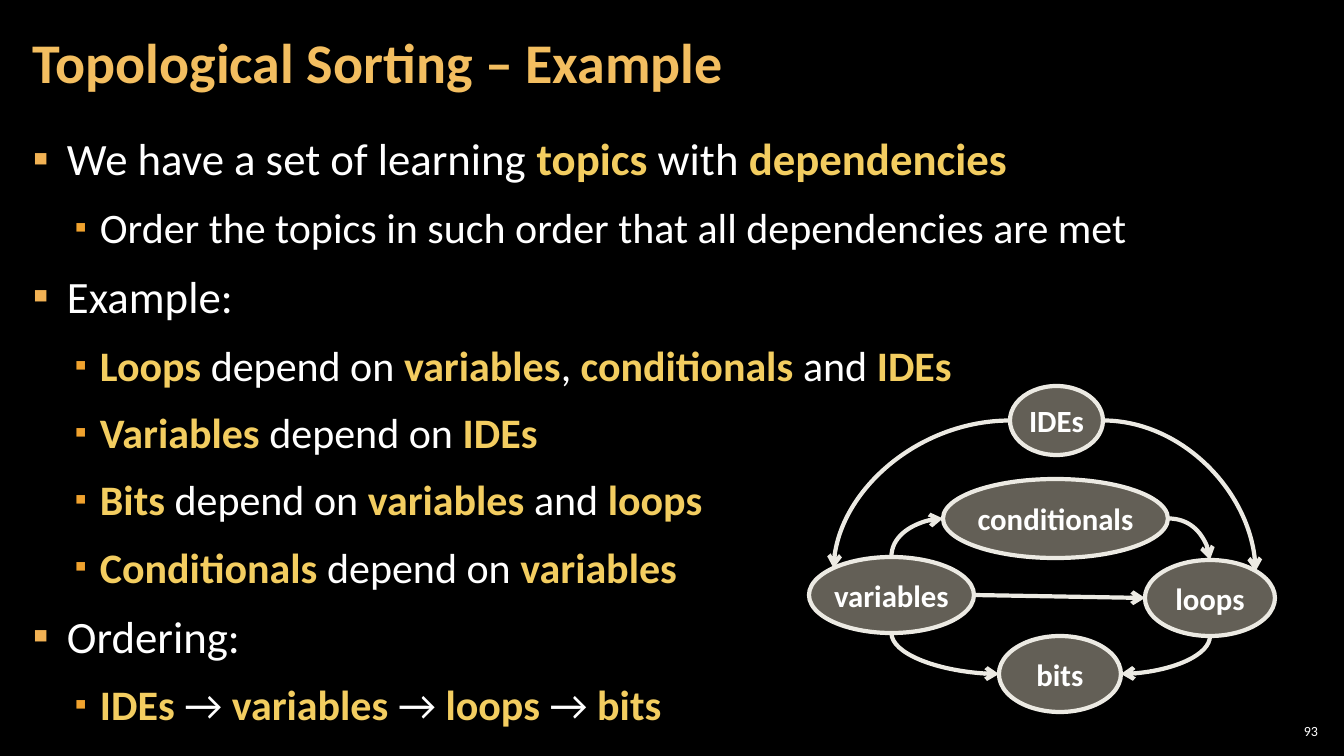
import pptx
import pptx.util
import pptx.dml.color
import pptx.enum.shapes
import pptx.enum.text
import pptx.oxml

PX = 914400 / 100.8
NS = 'xmlns:a="http://schemas.openxmlformats.org/drawingml/2006/main"'
COLORS = {
    "background": "000000",
    "text": "FFFFFF",
    "title": "F3BE60",
    "accent": "F3CD60",
    "topic_bullet": "F2B254",
    "detail_bullet": "F0A22E",
    "node": "C7BFAC",
    "line": "ECEAE3",
}
RGB = {name: pptx.dml.color.RGBColor.from_string(value) for name, value in COLORS.items()}
ALIGN = pptx.enum.text.PP_ALIGN
MIDDLE = pptx.enum.text.MSO_ANCHOR.MIDDLE


def px(*lengths):
    return [pptx.util.Emu(round(length * PX)) for length in lengths]


def set_font(font, size, color, bold=False):
    font.name = "Calibri"
    font.size = pptx.util.Pt(size)
    font.color.rgb = RGB[color]
    font.bold = bold


presentation = pptx.Presentation()
presentation.slide_width, presentation.slide_height = px(1344, 756)
slide = presentation.slides.add_slide(presentation.slide_layouts[6])
slide.background.fill.solid()
slide.background.fill.fore_color.rgb = RGB["background"]

labels = [
    ("Topological Sorting – Example", (21, 4, 1055, 122), 12, 40, "title", True, ALIGN.LEFT),
    ("93", (1275, 720, 47, 21), 4, 10, "text", False, ALIGN.RIGHT),
]
for text, bounds, inset, size, color, bold, alignment in labels:
    frame = slide.shapes.add_textbox(*px(*bounds)).text_frame
    frame.word_wrap = True
    frame.vertical_anchor = MIDDLE
    frame.margin_left, frame.margin_right, frame.margin_top, frame.margin_bottom = px(
        inset, inset, 4, 4)
    paragraph = frame.paragraphs[0]
    paragraph.text = text
    paragraph.alignment = alignment
    paragraph.line_spacing = 0.9 if color == "title" else 1.0
    set_font(paragraph.font, size, color, bold)

outline = [
    (0, ["We have a set of learning ", "*topics", " with ", "*dependencies"]),
    (1, ["Order the topics in such order that all dependencies are met"]),
    (0, ["Example:"]),
    (1, ["*Loops ", "depend on ", "*variables", ", ", "*conditionals ", "and ", "*IDEs"]),
    (1, ["*Variables", " depend on ", "*IDEs"]),
    (1, ["*Bits", " depend on ", "*variables", " and ", "*loops"]),
    (1, ["*Conditionals", " depend on ", "*variables"]),
    (0, ["Ordering:"]),
    (1, ["*IDEs ", "→ ", "*variables", " → ", "*loops", " → ", "*bits"]),
]
levels = [
    (34, 34, 100, "topic_bullet", 32),
    (67, 25, 80, "detail_bullet", 30),
]
frame = slide.shapes.add_textbox(*px(21, 127, 1301, 614)).text_frame
frame.word_wrap = True
frame.margin_left, frame.margin_right, frame.margin_top, frame.margin_bottom = px(12, 12, 4, 4)
for index, (level, pieces) in enumerate(outline):
    paragraph = frame.add_paragraph() if index else frame.paragraphs[0]
    margin, hanging, bullet_size, bullet_color, size = levels[level]
    paragraph.level = level
    paragraph.space_before = pptx.util.Pt(6 if index else 0)
    paragraph.space_after = pptx.util.Pt(6)
    properties = paragraph._p.get_or_add_pPr()
    properties.set("marL", str(px(margin)[0]))
    properties.set("indent", str(px(-hanging)[0]))
    for element in (
        f'<a:buClr {NS}><a:srgbClr val="{COLORS[bullet_color]}"/></a:buClr>',
        f'<a:buSzPct {NS} val="{bullet_size * 1000}"/>',
        f'<a:buFont {NS} typeface="Calibri"/>',
        f'<a:buChar {NS} char="▪"/>',
    ):
        properties.append(pptx.oxml.parse_xml(element))
    set_font(paragraph.font, size, "text")
    for piece in pieces:
        run = paragraph.add_run()
        run.text = piece.lstrip("*")
        strong = piece.startswith("*")
        set_font(run.font, size, "accent" if strong else "text", strong)

nodes = {
    "variables": (809, 557, 165, 76),
    "IDEs": (1010, 386, 93, 69),
    "conditionals": (943, 479, 225, 79),
    "loops": (1145, 560, 130, 76),
    "bits": (999, 636, 122, 76),
}
for name, bounds in nodes.items():
    ellipse = slide.shapes.add_shape(pptx.enum.shapes.MSO_SHAPE.OVAL, *px(*bounds))
    ellipse.shadow.inherit = False
    ellipse.fill.solid()
    ellipse.fill.fore_color.rgb = RGB["node"]
    fill_color = ellipse.fill._xPr.find(".//{*}srgbClr")
    fill_color.append(pptx.oxml.parse_xml(f'<a:alpha {NS} val="50000"/>'))
    ellipse.line.color.rgb = RGB["line"]
    ellipse.line.width = pptx.util.Pt(3)
    frame = ellipse.text_frame
    frame.word_wrap = False
    frame.vertical_anchor = MIDDLE
    frame.margin_left = frame.margin_right = frame.margin_top = frame.margin_bottom = 0
    paragraph = frame.paragraphs[0]
    paragraph.text = name
    paragraph.alignment = ALIGN.CENTER
    set_font(paragraph.font, 22, "text", True)

TOP, LEFT, BOTTOM, RIGHT = (0.5, 0), (0, 0.5), (0.5, 1), (1, 0.5)
CURVE = pptx.enum.shapes.MSO_CONNECTOR.CURVE
STRAIGHT = pptx.enum.shapes.MSO_CONNECTOR.STRAIGHT
arrows = [
    (STRAIGHT, "variables", RIGHT, "loops", LEFT, "tailEnd"),
    (CURVE, "IDEs", LEFT, "variables", (0.15, 0.15), "tailEnd"),
    (CURVE, "IDEs", RIGHT, "loops", (0.85, 0.15), "tailEnd"),
    (CURVE, "conditionals", RIGHT, "loops", TOP, "tailEnd"),
    (CURVE, "conditionals", LEFT, "variables", TOP, "headEnd"),
    (CURVE, "bits", LEFT, "variables", BOTTOM, "headEnd"),
    (CURVE, "bits", RIGHT, "loops", BOTTOM, "headEnd"),
]
for kind, start, start_side, end, end_side, arrow_end in arrows:
    points = []
    for name, (across, down) in ((start, start_side), (end, end_side)):
        left, top, width, height = nodes[name]
        points += [left + across * width, top + down * height]
    connector = slide.shapes.add_connector(kind, *px(*points))
    connector.line.color.rgb = RGB["line"]
    connector.line.width = pptx.util.Pt(3)
    properties = connector._element.spPr
    if kind == CURVE:
        properties.find("{*}prstGeom").set("prst", "curvedConnector2")
    properties.find("{*}ln").append(pptx.oxml.parse_xml(f'<a:{arrow_end} {NS} type="arrow"/>'))
    properties.append(pptx.oxml.parse_xml(f"<a:effectLst {NS}/>"))

presentation.save("out.pptx")
